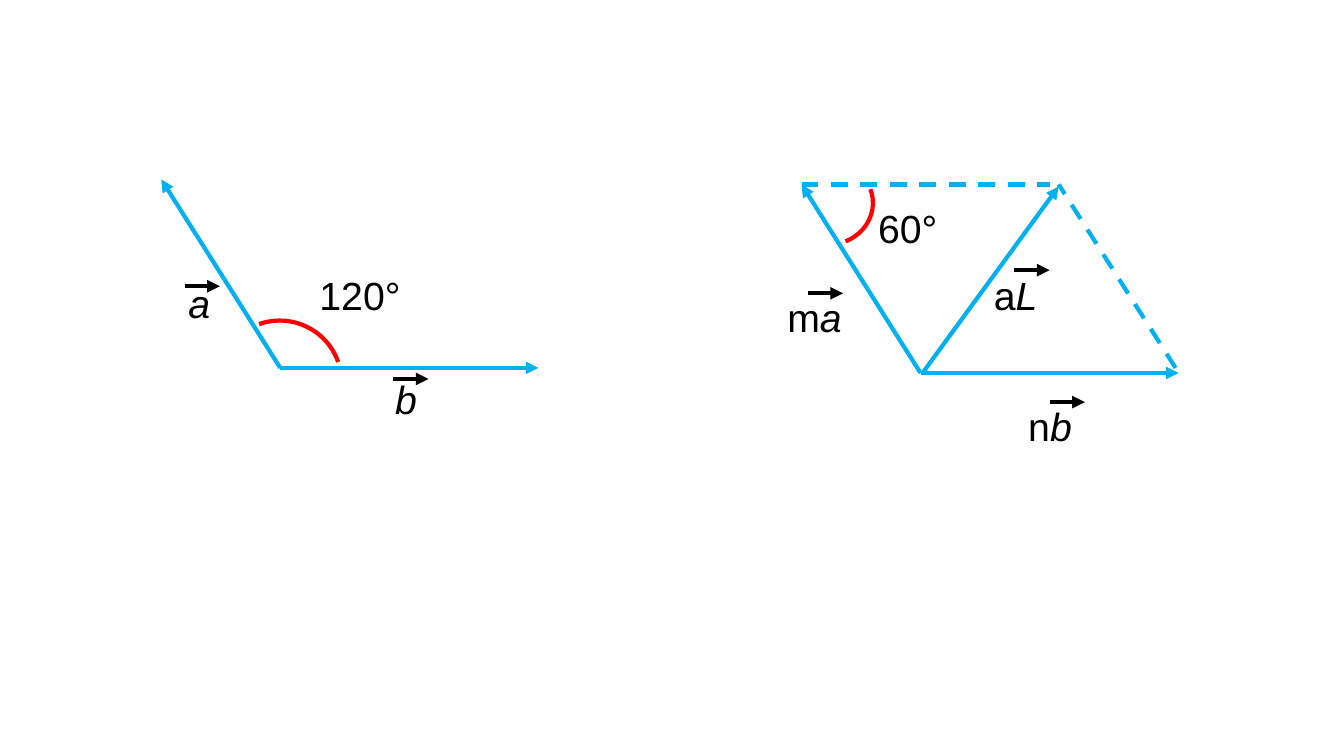
from dataclasses import dataclass

import pptx
import pptx.dml.color
import pptx.enum.dml
import pptx.enum.shapes
import pptx.enum.text
import pptx.oxml
import pptx.oxml.ns
import pptx.util

Inches = pptx.util.Inches


@dataclass(frozen=True)
class Theme:
    vector: str = "00B0F0"
    angle: str = "FF0000"
    ink: str = "000000"
    font: str = "Arial"
    text_size: float = 28
    line_width: float = 3


class VectorPage:
    def __init__(self, page, theme):
        self.page = page
        self.theme = theme

    def style_line(self, line, color):
        line.color.rgb = pptx.dml.color.RGBColor.from_string(color)
        line.width = pptx.util.Pt(self.theme.line_width)

    def segment(self, start, end, color, dashed=False):
        """Draw a plain dashed line, or a solid one with an arrowhead at its end."""
        connector = self.page.shapes.add_connector(
            pptx.enum.shapes.MSO_CONNECTOR.STRAIGHT,
            *(Inches(value) for value in (*start, *end)))
        self.style_line(connector.line, color)
        properties = connector._element.spPr
        if dashed:
            connector.line.dash_style = pptx.enum.dml.MSO_LINE.DASH
        else:
            outline = properties.find(pptx.oxml.ns.qn("a:ln"))
            head = pptx.oxml.parse_xml(
                f'<a:tailEnd {pptx.oxml.ns.nsdecls("a")} type="triangle"/>')
            outline.append(head)
        properties.append(pptx.oxml.parse_xml(
            f'<a:effectLst {pptx.oxml.ns.nsdecls("a")}/>'))

    def angle_arc(self, left, top, width, height, rotation):
        arc = self.page.shapes.add_shape(
            pptx.enum.shapes.MSO_SHAPE.ARC,
            Inches(left), Inches(top), Inches(width), Inches(height))
        arc.rotation = rotation
        arc.shadow.inherit = False
        arc.fill.background()
        self.style_line(arc.line, self.theme.angle)

    def label(self, left, top, width, upright="", italic=""):
        box = self.page.shapes.add_textbox(
            Inches(left), Inches(top), Inches(width), Inches(0.57))
        frame = box.text_frame
        frame.word_wrap = False
        frame.auto_size = pptx.enum.text.MSO_AUTO_SIZE.SHAPE_TO_FIT_TEXT
        para = frame.paragraphs[0]
        for text, slanted in ((upright, False), (italic, True)):
            if text:
                span = para.add_run()
                span.text = text
                span.font.name = self.theme.font
                span.font.size = pptx.util.Pt(self.theme.text_size)
                span.font.italic = slanted
                span.font.color.rgb = pptx.dml.color.RGBColor.from_string(self.theme.ink)

    def vector_label(self, box, arrow_start, upright, italic):
        """Write a vector's name with a short arrow above its letter."""
        self.label(*box, upright, italic)
        left, top = arrow_start
        self.segment(arrow_start, (left + 0.35, top), self.theme.ink)

    def vector_pair(self, origin):
        """Draw vectors a and b from a shared origin, 120° apart."""
        left, top = origin
        for across, down in ((2.56, 0), (-1.18, -1.87)):
            self.segment(origin, (left + across, top + down), self.theme.vector)


def main():
    deck = pptx.Presentation()
    deck.slide_width, deck.slide_height = Inches(13.33), Inches(7.5)
    theme = Theme()
    page = VectorPage(deck.slides.add_slide(deck.slide_layouts[6]), theme)

    # Two vectors and the angle between them
    page.vector_pair((2.78, 3.65))
    page.angle_arc(2.16, 3.18, 1.23, 1.23, 340.6)
    page.label(3.07, 2.64, 1.01, "120°")

    # Scaled vectors, their sum and the completed parallelogram
    page.vector_pair((9.13, 3.7))
    page.angle_arc(7.85, 1.61, 0.79, 0.83, 69.1)
    page.label(8.61, 1.98, 0.79, "60°")
    page.segment((9.15, 3.7), (10.5, 1.85), theme.vector)
    page.segment((7.95, 1.83), (10.41, 1.83), theme.vector, dashed=True)
    page.segment((11.66, 3.65), (10.5, 1.83), theme.vector, dashed=True)

    vector_names = (
        ((1.77, 2.72, 0.42), (1.83, 2.84), "", "a"),
        ((3.82, 3.67, 0.42), (3.9, 3.76), "", "b"),
        ((10.1, 3.94, 0.64), (10.41, 3.99), "n", "b"),
        ((7.71, 2.86, 0.75), (8.01, 2.91), "m", "a"),
        ((9.76, 2.64, 0.64), (10.06, 2.68), "a", "L"),
    )
    for name in vector_names:
        page.vector_label(*name)

    deck.save("out.pptx")


if __name__ == "__main__":
    main()
